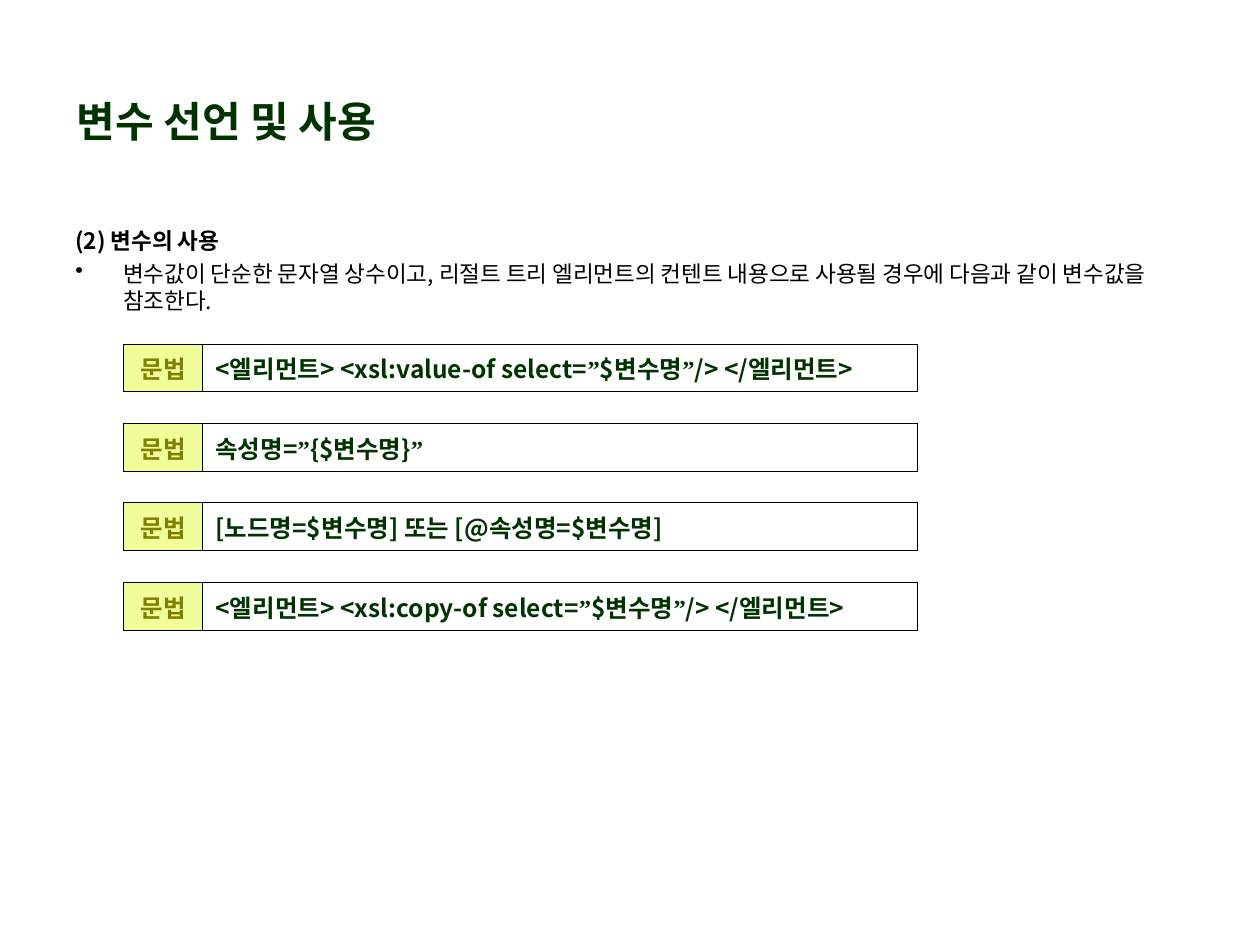
from dataclasses import dataclass

import pptx
import pptx.dml.color
import pptx.enum.text
import pptx.oxml
import pptx.oxml.ns
import pptx.util
from lxml import etree

Inches, Pt = pptx.util.Inches, pptx.util.Pt
RGB = pptx.dml.color.RGBColor.from_string
ALIGN = pptx.enum.text.PP_ALIGN
ANCHOR = pptx.enum.text.MSO_ANCHOR
qn = pptx.oxml.ns.qn


@dataclass(frozen=True)
class Theme:
    font: str = "Noto Sans CJK KR"
    quote_font: str = "Times New Roman"
    black: str = "000000"
    green: str = "003300"
    olive: str = "808000"
    lime: str = "F1FD9B"
    title_size: float = 24
    body_size: float = 12.9
    syntax_size: float = 14
    border: float = 0.45


@dataclass(frozen=True)
class Box:
    left: float
    top: float
    width: float
    height: float

    def emu(self) -> tuple:
        return tuple(map(Inches, (self.left, self.top, self.width, self.height)))


THEME = Theme()
TITLE_BOX = Box(0.51, 0.69, 4.5, 0.54)
BODY_BOX = Box(0.5, 1.75, 9.07, 0.82)
LABEL_WIDTH, SYNTAX_WIDTH, ROW_HEIGHT = 0.63, 5.67, 0.38
SYNTAX_LEFT, SYNTAX_TOP, SYNTAX_STEP = 0.98, 2.73, 0.63
SYNTAXES = [
    "<엘리먼트> <xsl:value-of select=”$변수명”/> </엘리먼트>",
    "속성명=”{$변수명}”",
    "[노드명=$변수명] 또는 [@속성명=$변수명]",
    "<엘리먼트> <xsl:copy-of select=”$변수명”/> </엘리먼트>",
]


def add_run(p, text: str, size: float, color: str, bold: bool = True,
            font: str = THEME.font) -> None:
    """Add a run with one font for both Latin and Korean text."""
    r = p.add_run()
    r.text = text
    r.font.size, r.font.bold, r.font.name = Pt(size), bold, font
    r.font.color.rgb = RGB(color)
    latin = r.font._element.find(qn("a:latin"))
    latin.addnext(etree.Element(qn("a:ea"), typeface=font))


def add_syntax_runs(p, text: str) -> None:
    """Set the curly quotes in the serif font and the rest in the theme font."""
    for i, part in enumerate(text.split("”")):
        if i:
            add_run(p, "”", THEME.syntax_size, THEME.green, font=THEME.quote_font)
        if part:
            add_run(p, part, THEME.syntax_size, THEME.green)


def set_borders(cell) -> None:
    tcPr = cell._tc.get_or_add_tcPr()
    for side in ("a:lnL", "a:lnR", "a:lnT", "a:lnB"):
        ln = etree.SubElement(tcPr, qn(side), w=str(Pt(THEME.border)))
        fill = etree.SubElement(ln, qn("a:solidFill"))
        etree.SubElement(fill, qn("a:srgbClr"), val=THEME.black)


def add_syntax_table(slide, text: str, box: Box) -> None:
    table = slide.shapes.add_table(1, 2, *box.emu()).table
    table.first_row = table.horz_banding = False
    for column, width in zip(table.columns, (LABEL_WIDTH, SYNTAX_WIDTH)):
        column.width = Inches(width)
    label, syntax = table.cell(0, 0), table.cell(0, 1)
    for cell in (label, syntax):
        set_borders(cell)
    # The longest syntax nearly fills its cell; a slim right margin keeps it on one line.
    syntax.margin_right = Inches(0.02)
    label.fill.solid()
    label.fill.fore_color.rgb = RGB(THEME.lime)
    syntax.fill.background()
    p = label.text_frame.paragraphs[0]
    p.alignment = ALIGN.CENTER
    add_run(p, "문법", THEME.syntax_size, THEME.olive)
    add_syntax_runs(syntax.text_frame.paragraphs[0], text)


def format_title(title) -> None:
    title.left, title.top, title.width, title.height = TITLE_BOX.emu()
    tf = title.text_frame
    tf.auto_size = pptx.enum.text.MSO_AUTO_SIZE.NONE
    tf.vertical_anchor = ANCHOR.MIDDLE
    p = tf.paragraphs[0]
    p.alignment = ALIGN.LEFT
    add_run(p, "변수 선언 및 사용", THEME.title_size, THEME.green)


def add_body(slide) -> None:
    tf = slide.shapes.add_textbox(*BODY_BOX.emu()).text_frame
    tf.word_wrap = True
    heading, item = tf.paragraphs[0], tf.add_paragraph()
    for p in (heading, item):
        p.space_before, p.line_spacing = Pt(3.5), 1.0
    add_run(heading, "(2) 변수의 사용", THEME.body_size, THEME.black)
    add_run(item, "변수값이 단순한 문자열 상수이고, 리절트 트리 엘리먼트의 컨텐트 내용으로 "
            "사용될 경우에 다음과 같이 변수값을 참조한다.",
            THEME.body_size, THEME.black, bold=False)
    pPr = item._p.get_or_add_pPr()
    pPr.set("marL", str(Inches(0.38)))
    pPr.set("indent", str(-Inches(0.38)))
    etree.SubElement(pPr, qn("a:buChar"), char="•")


def main() -> None:
    prs = pptx.Presentation()
    prs.slide_width, prs.slide_height = Inches(10), Inches(7.5)
    slide = prs.slides.add_slide(prs.slide_layouts.get_by_name("Title Only"))
    format_title(slide.shapes.title)
    add_body(slide)
    for i, text in enumerate(SYNTAXES):
        top = SYNTAX_TOP + i * SYNTAX_STEP
        add_syntax_table(slide, text, Box(SYNTAX_LEFT, top,
                                          LABEL_WIDTH + SYNTAX_WIDTH, ROW_HEIGHT))
    prs.save("out.pptx")


if __name__ == "__main__":
    main()
